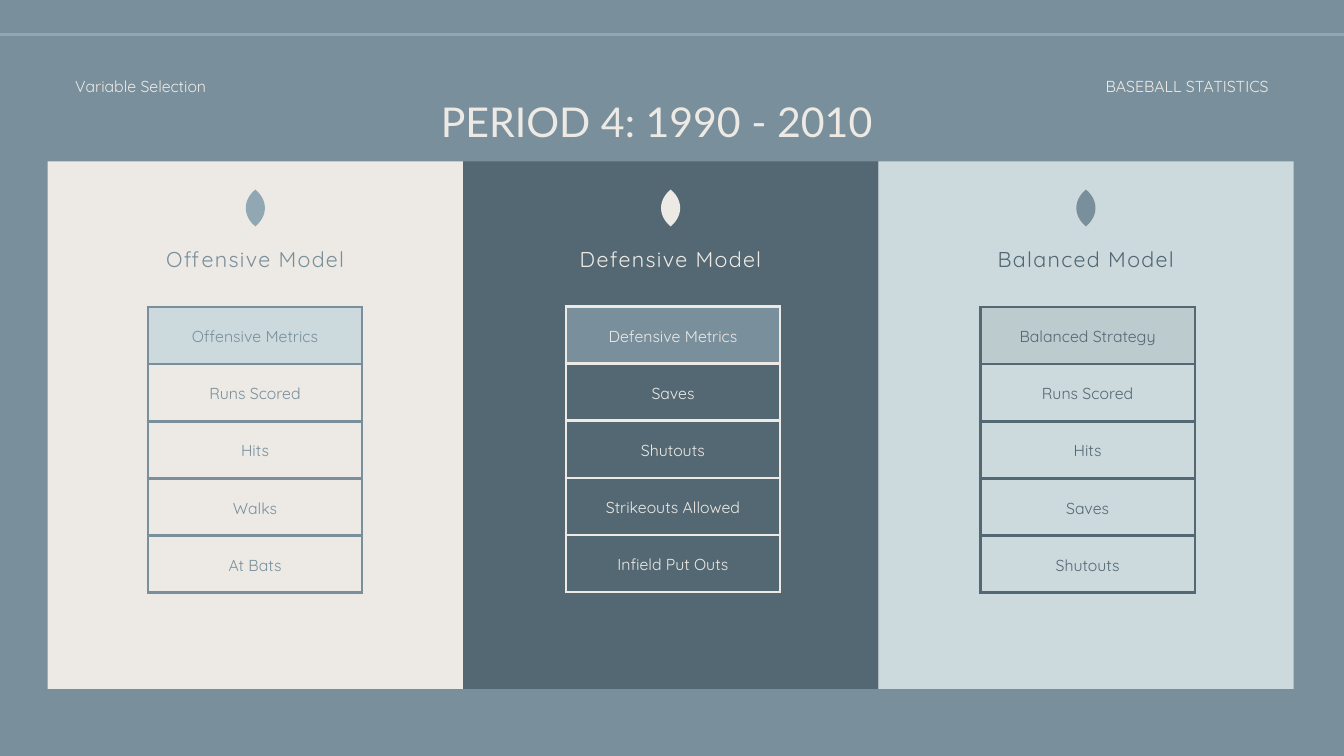
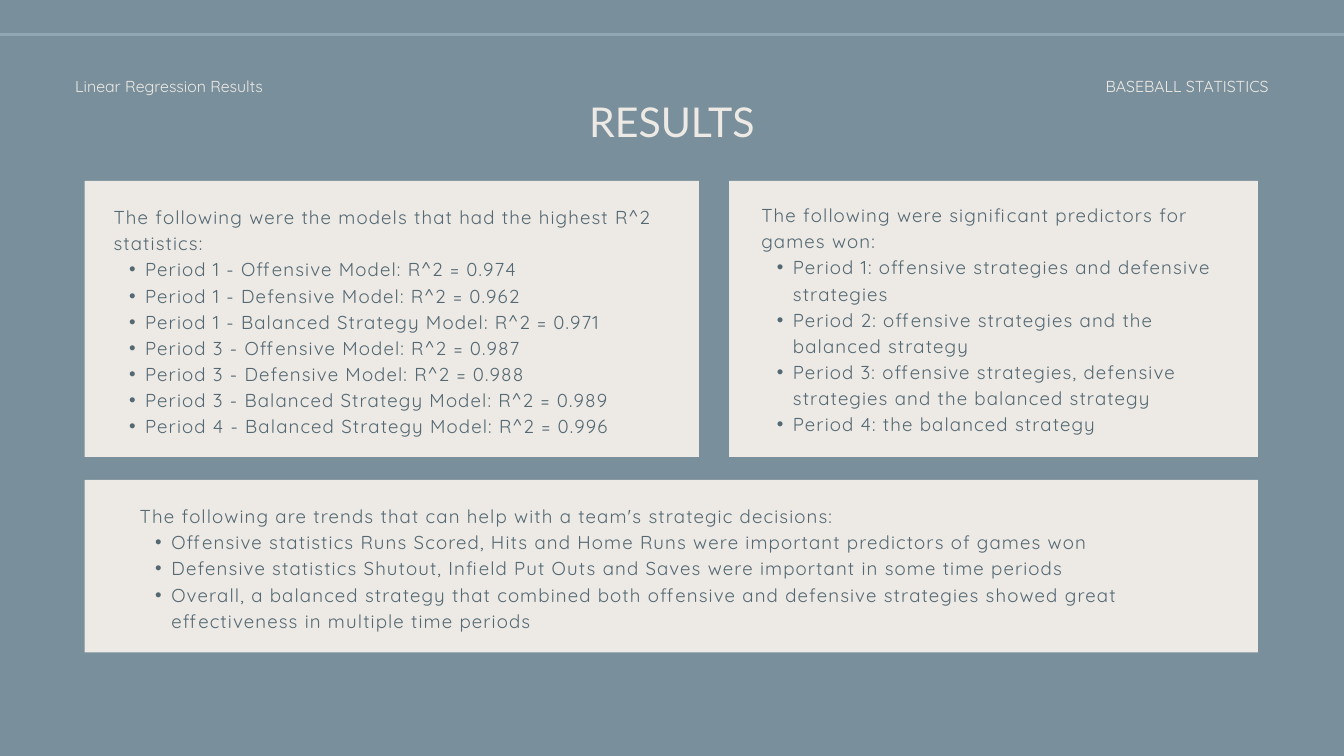
from lxml import etree
from pptx import Presentation
from pptx import util as u
from pptx.dml.color import RGBColor
from pptx.enum import shapes, text
from pptx.oxml.ns import qn

COLORS = {
    "slate": "798F9B",
    "deep": "546873",
    "mist": "91A8B4",
    "ice": "CCDADD",
    "sage": "BCCBCE",
    "cream": "EDEAE5",
}
WIDTH, HEIGHT = 20, 11.25
HEADER = "BASEBALL STATISTICS"

MODELS = [
    {"name": "Offensive Model", "panel": "cream", "ink": "slate", "leaf": "mist",
     "head": "ice", "table_at": (2.2, 4.57),
     "metrics": ["Offensive Metrics", "Runs Scored", "Hits", "Walks", "At Bats"]},
    {"name": "Defensive Model", "panel": "deep", "ink": "cream", "leaf": "cream",
     "head": "slate", "table_at": (8.42, 4.56),
     "metrics": ["Defensive Metrics", "Saves", "Shutouts", "Strikeouts Allowed",
                 "Infield Put Outs"]},
    {"name": "Balanced Model", "panel": "ice", "ink": "deep", "leaf": "slate",
     "head": "sage", "table_at": (14.59, 4.57),
     "metrics": ["Balanced Strategy", "Runs Scored", "Hits", "Saves", "Shutouts"]},
]

FINDINGS = [
    {"card": (1.26, 2.69, 9.14, 4.11), "body": (1.69, 3.01, 8.08, 3.44),
     "intro": "The following were the models that had the highest R^2 statistics:",
     "points": [
         "Period 1 - Offensive Model: R^2 = 0.974",
         "Period 1 - Defensive Model: R^2 = 0.962",
         "Period 1 - Balanced Strategy Model: R^2 = 0.971",
         "Period 3 - Offensive Model: R^2 = 0.987",
         "Period 3 - Defensive Model: R^2 = 0.988",
         "Period 3 - Balanced Strategy Model: R^2 = 0.989",
         "Period 4 - Balanced Strategy Model: R^2 = 0.996",
     ]},
    {"card": (10.85, 2.69, 7.87, 4.11), "body": (11.33, 2.98, 6.8, 3.44),
     "intro": "The following were significant predictors for games won:",
     "points": [
         "Period 1: offensive strategies and defensive strategies",
         "Period 2: offensive strategies and the balanced strategy",
         "Period 3: offensive strategies, defensive strategies and the balanced strategy",
         "Period 4: the balanced strategy",
     ]},
    {"card": (1.26, 7.14, 17.46, 2.57), "body": (2.08, 7.46, 15.43, 1.9),
     "intro": "The following are trends that can help with a team's strategic decisions:",
     "points": [
         "Offensive statistics Runs Scored, Hits and Home Runs were important predictors of games won",
         "Defensive statistics Shutout, Infield Put Outs and Saves were important in some time periods",
         "Overall, a balanced strategy that combined both offensive and defensive strategies "
         "showed great effectiveness in multiple time periods",
     ]},
]

PANEL_LEFT, PANEL_TOP, PANEL_WIDTH, PANEL_HEIGHT = 0.71, 2.4, 6.18, 7.85
LEAF_TOP, LEAF_HEIGHT, LEAF_BULGE = 2.82, 0.55, 0.19
TABLE_WIDTH, ROW_HEIGHT, CELL_MARGIN = 3.19, 0.85, 0.21
ALIGN = {"left": text.PP_ALIGN.LEFT, "center": text.PP_ALIGN.CENTER,
         "right": text.PP_ALIGN.RIGHT}


def rgb(color):
    return RGBColor.from_string(COLORS[color])


def inches(values):
    return [u.Inches(value) for value in values]


def write(paragraph, words, size=17, font="Quicksand", color="cream", align="left",
          spacing=0, bullet=False):
    if bullet:
        paragraph.level = 1
        props = paragraph._p.get_or_add_pPr()
        props.set("marL", str(u.Inches(0.47)))
        props.set("indent", str(u.Inches(-0.24)))
        etree.SubElement(props, qn("a:buFont")).set("typeface", "Arial")
        etree.SubElement(props, qn("a:buChar")).set("char", "•")
    paragraph.alignment = ALIGN[align]
    paragraph.line_spacing = u.Pt(size * 1.4)
    run = paragraph.add_run()
    run.text = words
    run.font.size = u.Pt(size)
    run.font.name = font
    run.font.color.rgb = rgb(color)
    if spacing:
        run._r.get_or_add_rPr().set("spc", str(round(spacing * 100)))


def add_frame(slide, box):
    frame = slide.shapes.add_textbox(*inches(box)).text_frame
    frame.word_wrap = True
    frame.auto_size = text.MSO_AUTO_SIZE.SHAPE_TO_FIT_TEXT
    frame.margin_left = frame.margin_right = frame.margin_top = frame.margin_bottom = 0
    return frame


def add_label(slide, box, words, **style):
    write(add_frame(slide, box).paragraphs[0], words, **style)


def paint(shape, color):
    shape.shadow.inherit = False
    shape.fill.solid()
    shape.fill.fore_color.rgb = rgb(color)
    shape.line.fill.background()


def add_block(slide, box, color):
    paint(slide.shapes.add_shape(shapes.MSO_SHAPE.RECTANGLE, *inches(box)), color)


def add_leaf(slide, center, color, steps=12):
    shares = [step / steps for step in range(steps + 1)]
    right = []
    for t in shares:
        x = center + 3 * t * (1 - t) * LEAF_BULGE
        y = LEAF_TOP + LEAF_HEIGHT * (0.87 * t * (1 - t) ** 2 + 2.13 * t * t * (1 - t) + t ** 3)
        right.append((x, y))
    left = [(2 * center - x, y) for x, y in reversed(right[1:-1])]
    outline = [inches(point) for point in right + left]
    builder = slide.shapes.build_freeform(*outline[0])
    builder.add_line_segments(outline[1:], close=True)
    paint(builder.convert_to_shape(), color)


def add_borders(cell, color):
    props = cell._tc.get_or_add_tcPr()
    for side in ("lnL", "lnR", "lnT", "lnB"):
        edge = etree.SubElement(props, qn("a:" + side), w=str(u.Pt(3)))
        fill = etree.SubElement(edge, qn("a:solidFill"))
        etree.SubElement(fill, qn("a:srgbClr"), val=COLORS[color])


def add_metrics(slide, model):
    metrics = model["metrics"]
    box = (*model["table_at"], TABLE_WIDTH, ROW_HEIGHT * len(metrics))
    table = slide.shapes.add_table(len(metrics), 1, *inches(box)).table
    table.first_row = table.horz_banding = False
    for row, metric in enumerate(metrics):
        cell = table.cell(row, 0)
        cell.vertical_anchor = text.MSO_ANCHOR.MIDDLE
        margin = u.Inches(CELL_MARGIN)
        cell.margin_left = cell.margin_right = cell.margin_top = cell.margin_bottom = margin
        add_borders(cell, model["ink"])
        if row == 0:
            cell.fill.solid()
            cell.fill.fore_color.rgb = rgb(model["head"])
        else:
            cell.fill.background()
        write(cell.text_frame.paragraphs[0], metric, color=model["ink"], align="center")


def start_slide(deck, section, title, title_box, title_align):
    slide = deck.slides.add_slide(deck.slide_layouts[6])
    slide.background.fill.solid()
    slide.background.fill.fore_color.rgb = rgb("slate")
    rule = slide.shapes.add_connector(shapes.MSO_CONNECTOR.STRAIGHT,
                                      *inches((WIDTH, 0.51, 0, 0.51)))
    rule.line.color.rgb = rgb("mist")
    rule.line.width = u.Pt(3.75)
    etree.SubElement(rule._element.spPr, qn("a:effectLst"))
    add_label(slide, (1.12, 1.1, 3.2, 0.3), section)
    add_label(slide, (15.68, 1.1, 3.2, 0.3), HEADER, align="right")
    add_label(slide, title_box, title, size=44, font="Lato", align=title_align)
    return slide


def build_models(deck):
    slide = start_slide(deck, "Variable Selection", "PERIOD 4: 1990 - 2010",
                        (6.56, 1.32, 6.89, 0.82), "left")
    for column, model in enumerate(MODELS):
        left = PANEL_LEFT + column * PANEL_WIDTH
        center = left + PANEL_WIDTH / 2
        add_block(slide, (left, PANEL_TOP, PANEL_WIDTH, PANEL_HEIGHT), model["panel"])
        add_leaf(slide, center, model["leaf"])
        add_label(slide, (center - 1.8, 3.6, 3.6, 0.42), model["name"], size=23,
                  color=model["ink"], align="center", spacing=1.4)
        add_metrics(slide, model)


def build_results(deck):
    slide = start_slide(deck, "Linear Regression Results", "RESULTS",
                        (7.94, 1.32, 4.12, 0.82), "center")
    for finding in FINDINGS:
        add_block(slide, finding["card"], "cream")
        frame = add_frame(slide, finding["body"])
        style = {"size": 20, "color": "deep", "spacing": 1.2}
        write(frame.paragraphs[0], finding["intro"], **style)
        for point in finding["points"]:
            write(frame.add_paragraph(), point, bullet=True, **style)


def main():
    deck = Presentation()
    deck.slide_width, deck.slide_height = inches((WIDTH, HEIGHT))
    build_models(deck)
    build_results(deck)
    deck.save("out.pptx")


if __name__ == "__main__":
    main()
